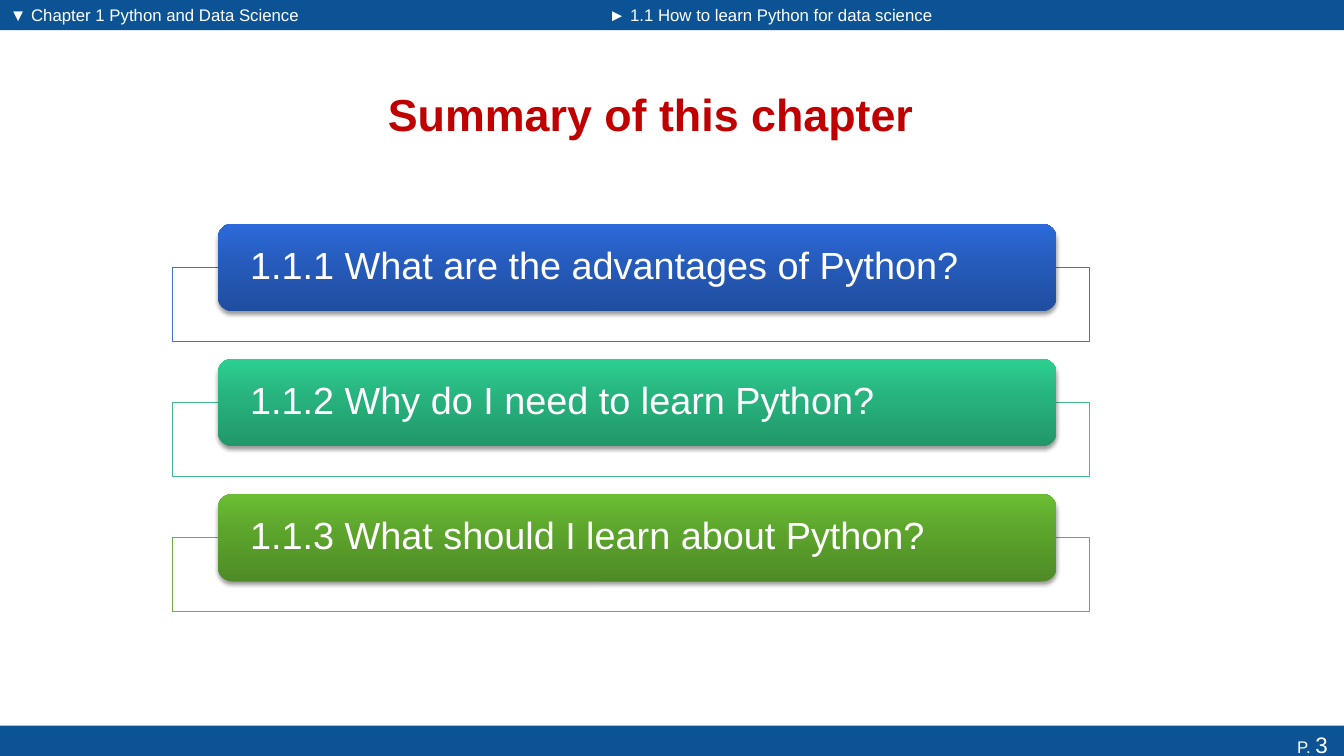
from copy import deepcopy

from lxml.etree import SubElement
from pptx import Presentation
from pptx.dml.color import RGBColor
from pptx.enum.shapes import MSO_SHAPE
from pptx.enum.text import MSO_ANCHOR, PP_ALIGN
from pptx.oxml.ns import qn
from pptx.util import Inches, Pt

WHITE = RGBColor(0xFF, 0xFF, 0xFF)
BAR_BLUE = RGBColor(0x0B, 0x53, 0x94)
TITLE_RED = RGBColor(0xC0, 0x00, 0x00)

# Section text, frame line colour, gradient colours from bottom to top
SECTIONS = [
    ("1.1.1 What are the advantages of Python?", RGBColor(0x44, 0x72, 0xC4),
     (RGBColor(0x20, 0x4E, 0x9F), RGBColor(0x26, 0x5B, 0xBB), RGBColor(0x2C, 0x6A, 0xDA))),
    ("1.1.2 Why do I need to learn Python?", RGBColor(0x43, 0xBB, 0x8D),
     (RGBColor(0x21, 0x97, 0x6A), RGBColor(0x27, 0xB2, 0x7D), RGBColor(0x2D, 0xCF, 0x91))),
    ("1.1.3 What should I learn about Python?", RGBColor(0x70, 0xAD, 0x47),
     (RGBColor(0x4E, 0x8B, 0x26), RGBColor(0x5C, 0xA3, 0x2C), RGBColor(0x6B, 0xBE, 0x34))),
]
GRADIENT_POSITIONS = (0, 0.55, 1)
FIRST_TOP, SECTION_STEP = 2.22, 1.34


class SummarySlide:
    font_name = "Arial"

    def __init__(self, deck):
        self.page = deck.slides.add_slide(deck.slide_layouts[6])

    def style_span(self, span, size, color=WHITE, bold=False):
        span.font.name = self.font_name
        span.font.size = Pt(size)
        span.font.color.rgb = color
        span.font.bold = bold

    def shape(self, kind, left, top, width, height):
        box = self.page.shapes.add_shape(
            kind, Inches(left), Inches(top), Inches(width), Inches(height))
        box.shadow.inherit = False
        box.line.fill.background()
        return box

    def bar(self, left, top, width, height):
        box = self.shape(MSO_SHAPE.RECTANGLE, left, top, width, height)
        box.fill.solid()
        box.fill.fore_color.rgb = BAR_BLUE
        return box

    def text(self, text, left, top, width, height, size, color=WHITE, bold=False,
             align=PP_ALIGN.LEFT, anchor=MSO_ANCHOR.TOP):
        box = self.page.shapes.add_textbox(
            Inches(left), Inches(top), Inches(width), Inches(height))
        frame = box.text_frame
        frame.word_wrap = True
        frame.vertical_anchor = anchor
        frame.text = text
        para = frame.paragraphs[0]
        para.alignment = align
        self.style_span(para.runs[0], size, color, bold)

    def page_number(self, box, label, number):
        frame = box.text_frame
        frame.vertical_anchor = MSO_ANCHOR.TOP
        para = frame.paragraphs[0]
        para.alignment = PP_ALIGN.RIGHT
        for text, size in ((label, 12), (number, 16)):
            span = para.add_run()
            span.text = text
            self.style_span(span, size)

    def frame(self, left, top, width, height, color):
        box = self.shape(MSO_SHAPE.RECTANGLE, left, top, width, height)
        box.fill.solid()
        box.fill.fore_color.rgb = WHITE
        white = box.fill._xPr.find(".//" + qn("a:srgbClr"))
        SubElement(white, qn("a:alpha"), val="90000")
        box.line.color.rgb = color
        box.line.width = Pt(0.5)

    def banner(self, text, left, top, width, height, colors):
        box = self.shape(MSO_SHAPE.ROUNDED_RECTANGLE, left, top, width, height)
        self.gradient(box, colors)
        self.drop_shadow(box)
        frame = box.text_frame
        frame.word_wrap = True
        frame.vertical_anchor = MSO_ANCHOR.MIDDLE
        frame.margin_left = frame.margin_right = Inches(0.28)
        frame.margin_top = frame.margin_bottom = 0
        frame.text = text
        para = frame.paragraphs[0]
        para.alignment = PP_ALIGN.LEFT
        para.line_spacing = 0.9
        self.style_span(para.runs[0], 27)

    def gradient(self, box, colors):
        box.fill.gradient()
        box.fill.gradient_angle = 90
        stop_list = box._element.spPr.find(".//" + qn("a:gsLst"))
        stop_list.insert(1, deepcopy(stop_list[0]))
        for stop, position, color in zip(box.fill.gradient_stops, GRADIENT_POSITIONS, colors):
            stop.position = position
            stop.color.rgb = color

    def drop_shadow(self, box):
        effects = box._element.spPr.find(qn("a:effectLst"))
        shadow = SubElement(effects, qn("a:outerShdw"), blurRad=str(Pt(3.1)),
                            dist=str(Pt(2)), dir="5400000", rotWithShape="0")
        black = SubElement(shadow, qn("a:srgbClr"), val="000000")
        SubElement(black, qn("a:alpha"), val="38000")


def main():
    deck = Presentation()
    deck.slide_width, deck.slide_height = Inches(13.33), Inches(7.5)
    slide = SummarySlide(deck)

    # Header and footer bars
    slide.bar(0, 0, 5.93, 0.3)
    footer = slide.bar(0, 7.2, 13.33, 0.37)
    slide.page_number(footer, "P. ", "3 ")
    slide.bar(5.93, 0, 7.4, 0.3)
    slide.text("▼ Chapter 1 Python and Data Science", 0, 0, 4.83, 0.29, 12)
    slide.text("► 1.1 How to learn Python for data science", 5.94, 0, 3.72, 0.29, 12)

    # Title
    slide.text("Summary of this chapter", 2.51, 0.68, 7.89, 0.9, 32, TITLE_RED,
               bold=True, align=PP_ALIGN.CENTER, anchor=MSO_ANCHOR.MIDDLE)

    # Section list
    for index, (text, line_color, colors) in enumerate(SECTIONS):
        top = FIRST_TOP + index * SECTION_STEP
        slide.frame(1.71, top + 0.43, 9.09, 0.74, line_color)
        slide.banner(text, 2.16, top, 8.32, 0.87, colors)

    deck.save("out.pptx")


if __name__ == "__main__":
    main()
